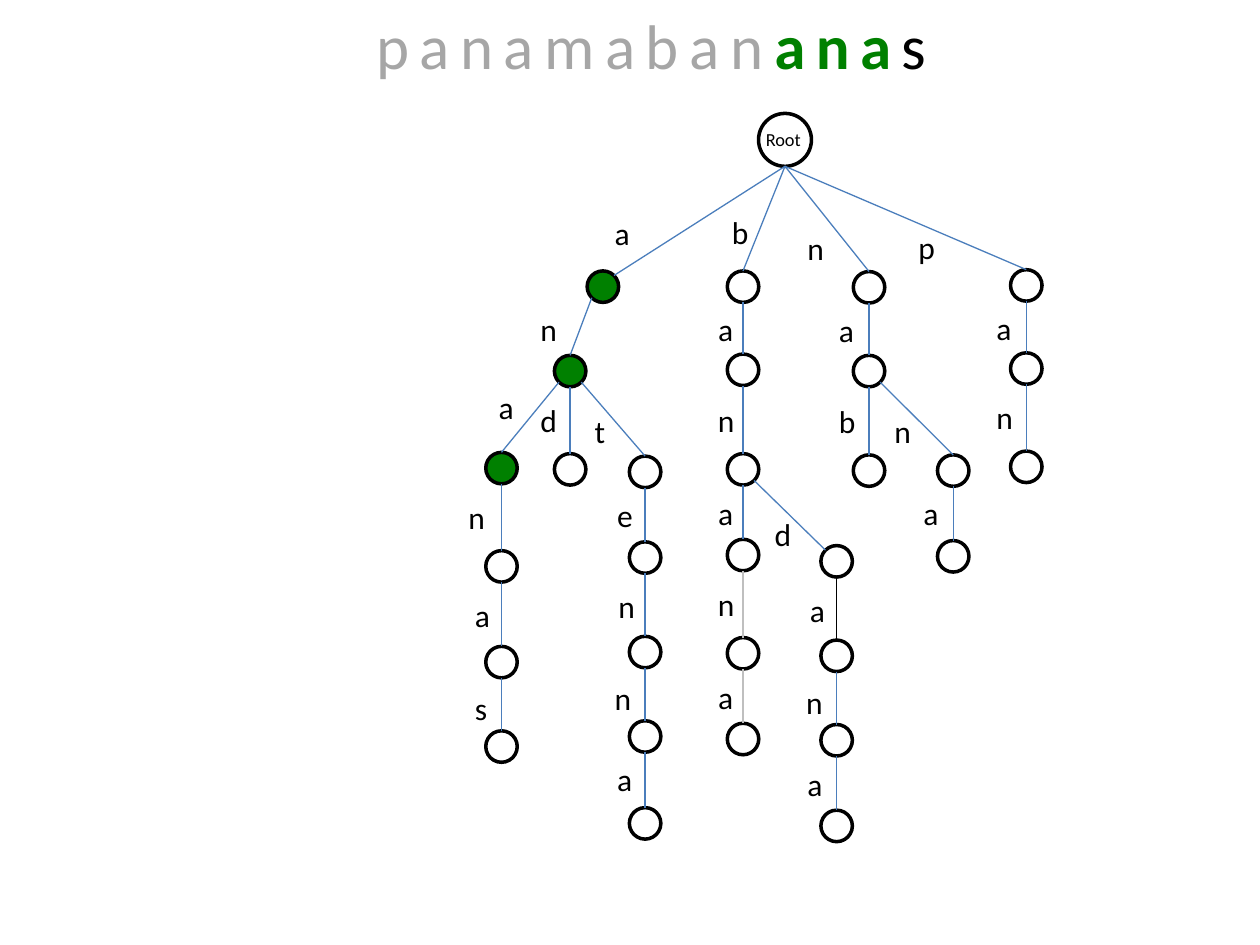
import math
import lxml.etree
import pptx
import pptx.dml.color
import pptx.enum.shapes
import pptx.enum.text
import pptx.oxml.ns
import pptx.util

BLACK, WHITE, GREEN, BLUE = "000000", "FFFFFF", "008000", "4B7EBC"
PALE, FADED = "BFBFBF", "A6A6A6"
MATCH = "ana"
ROOT = (62.3, 11.1)
ROOT_RADIUS, NODE_RADIUS = 2.1, 1.25
LABEL_WIDTHS = {"a": 3.2, "e": 3.3, "t": 2.9, "s": 3}
EDGE_COLOURS = {"banan": PALE, "banana": PALE, "banda": BLACK}
CORNER_ENDS = ("a", "band")

BRANCHES = [
    (47.85, [("a", 22.75, 47.8, 16.5)]),
    (45.25, [("an", 29.45, 41.9, 24.1), ("and", 37.25, 41.9, 31.3)]),
    (39.8, [("ana", 37.15, 38.6, 30.3), ("anan", 44.95, 36.2, 39),
            ("anana", 52.55, 36.7, 46.8), ("ananas", 59.25, 36.7, 54.2)]),
    (51.2, [("ant", 37.45, 46.2, 32.2), ("ante", 44.25, 48, 38.9),
            ("anten", 51.75, 48.1, 46.1), ("antenn", 58.45, 47.8, 53.4),
            ("antenna", 65.35, 48, 59.8)]),
    (58.97, [("b", 22.75, 57.1, 16.4), ("ba", 29.35, 56, 24.1),
             ("ban", 37.25, 56, 31.3), ("bana", 44.05, 56, 38.7),
             ("banan", 51.85, 56, 45.9), ("banana", 58.65, 56, 53.3)]),
    (66.4, [("band", 44.55, 60.5, 40.4), ("banda", 52.05, 63.3, 46.4),
            ("bandan", 58.75, 63, 53.7), ("bandana", 65.55, 63.1, 60.2)]),
    (68.97, [("n", 22.8, 63.1, 17.7), ("na", 29.45, 65.6, 24.2),
             ("nab", 37.35, 65.6, 31.4)]),
    (75.65, [("nan", 37.35, 70, 32.2), ("nana", 44.15, 72.3, 38.7)]),
    (81.45, [("p", 22.65, 71.9, 17.6), ("pa", 29.25, 78.1, 24),
             ("pan", 37.05, 78.1, 31.1)]),
]


def colour(value):
    return pptx.dml.color.RGBColor.from_string(value)


class TreeSlide:
    columns, rows = 100, 75
    typeface = "Calibri"

    def __init__(self, deck):
        self.deck = deck
        self.shapes = deck.slides.add_slide(deck.slide_layouts[6]).shapes

    def place(self, *lengths):
        units = (self.deck.slide_width / self.columns,
                 self.deck.slide_height / self.rows)
        return [round(length * units[i % 2]) for i, length in enumerate(lengths)]

    def node(self, centre, radius, fill):
        x, y = centre
        circle = self.shapes.add_shape(
            pptx.enum.shapes.MSO_SHAPE.OVAL,
            *self.place(x - radius, y - radius, 2 * radius, 2 * radius))
        circle.shadow.inherit = False
        circle.fill.solid()
        circle.fill.fore_color.rgb = colour(fill)
        circle.line.color.rgb = colour(BLACK)
        circle.line.width = pptx.util.Pt(2)
        return circle

    def edge(self, start, end, shade, child=None):
        link = self.shapes.add_connector(
            pptx.enum.shapes.MSO_CONNECTOR.STRAIGHT, *self.place(*start, *end))
        link.line.color.rgb = colour(shade)
        link.line.width = pptx.util.Pt(0.75)
        lxml.etree.SubElement(link._element.spPr, pptx.oxml.ns.qn("a:effectLst"))
        if child is not None:
            link.end_connect(child, 0)

    def text(self, box, size, parts, wrap=False, align="LEFT", spacing=0):
        frame = self.shapes.add_textbox(*self.place(*box)).text_frame
        layout = {"word_wrap": wrap,
                  "auto_size": pptx.enum.text.MSO_AUTO_SIZE.SHAPE_TO_FIT_TEXT}
        for key, value in layout.items():
            setattr(frame, key, value)
        paragraph = frame.paragraphs[0]
        paragraph.alignment = getattr(pptx.enum.text.PP_ALIGN, align)
        for words, shade, bold in parts:
            run = paragraph.add_run()
            run.text = words
            style = {"name": self.typeface, "size": pptx.util.Pt(size), "bold": bold}
            for key, value in style.items():
                setattr(run.font, key, value)
            run.font.color.rgb = colour(shade)
            if spacing:
                run._r.get_or_add_rPr().set("spc", str(spacing * 100))


def draw_tree(tree):
    tree.node(ROOT, ROOT_RADIUS, WHITE)
    tree.text((59.8, 9.7, 5.5, 2.8), 10.5, [("Root", BLACK, False)], wrap=True)
    centres = {"": ROOT}
    diagonal = NODE_RADIUS * math.sqrt(0.5)
    for x, members in BRANCHES:
        for prefix, y, label_x, label_y in members:
            centres[prefix] = (x, y)
            parent, letter = prefix[:-1], prefix[-1]
            circle = tree.node((x, y), NODE_RADIUS,
                               GREEN if MATCH.startswith(prefix) else WHITE)
            from_x, from_y = centres[parent]
            side = (x > from_x) - (x < from_x)
            if not parent:
                start = (from_x, from_y + ROOT_RADIUS)
            elif side:
                start = (from_x + side * diagonal, from_y + diagonal)
            else:
                start = (from_x, from_y + NODE_RADIUS)
            shade = EDGE_COLOURS.get(prefix, BLUE)
            if prefix in CORNER_ENDS:
                tree.edge(start, (x - side * diagonal, y - diagonal), shade)
            else:
                tree.edge(start, (x, y - NODE_RADIUS), shade, circle)
            tree.text((label_x, label_y, LABEL_WIDTHS.get(letter, 3.4), 4),
                      18, [(letter, BLACK, False)])


def main():
    deck = pptx.Presentation()
    deck.slide_width = pptx.util.Inches(10)
    deck.slide_height = pptx.util.Inches(7.5)
    tree = TreeSlide(deck)
    draw_tree(tree)
    tree.text((26.7, 0, 50, 7.1), 36,
              [("panamaban", FADED, False), (MATCH, GREEN, True), ("s", BLACK, False)],
              wrap=True, align="CENTER", spacing=6)
    deck.save("out.pptx")


if __name__ == "__main__":
    main()
